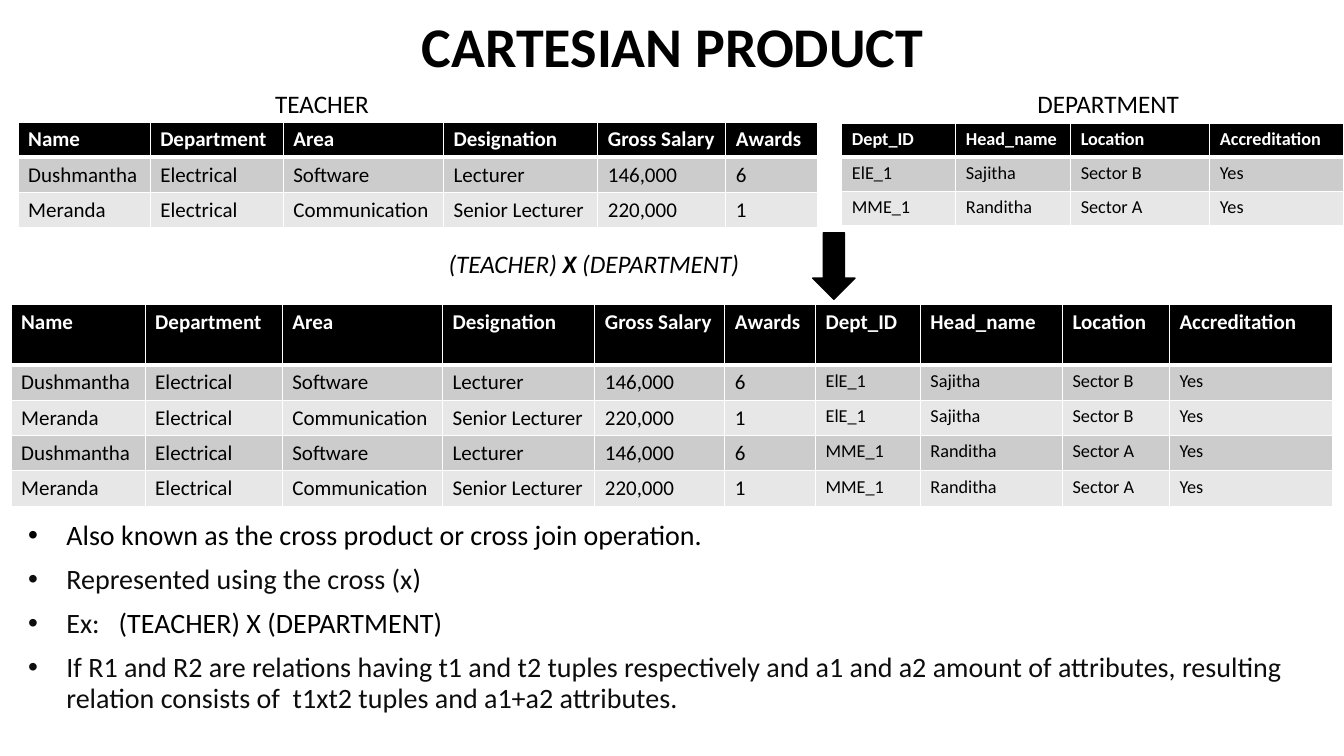
from itertools import product

from lxml import etree
from pptx import Presentation
from pptx.dml.color import RGBColor
from pptx.enum import shapes, text
from pptx.oxml import ns
from pptx.util import Inches, Pt

BLACK, SOFT_BLACK, WHITE = "000000", "0D0D0D", "FFFFFF"
BANDS = ("CCCCCC", "E7E7E7")
TEACHER_HEAD = ("Name", "Department", "Area", "Designation", "Gross Salary", "Awards")
TEACHERS = [
    ("Dushmantha", "Electrical", "Software", "Lecturer", "146,000", "6"),
    ("Meranda", "Electrical", "Communication", "Senior Lecturer", "220,000", "1"),
]
DEPARTMENT_HEAD = ("Dept_ID", "Head_name", "Location", "Accreditation")
DEPARTMENTS = [
    ("ElE_1", "Sajitha", "Sector B", "Yes"),
    ("MME_1", "Randitha", "Sector A", "Yes"),
]


def color(hex_code):
    return RGBColor.from_string(hex_code)


def write(paragraph, words, size=18, hex_code=BLACK, bold=False, italic=False, spacing=0):
    run = paragraph.add_run()
    run.text = words
    font = run.font
    font.name, font.size, font.bold, font.italic = "Calibri", Pt(size), bold, italic
    font.color.rgb = color(hex_code)
    if spacing:  # extra points after each letter
        run._r.get_or_add_rPr().set("spc", str(spacing * 100))


def text_frame(slide, left, top, width, height, wrap=True):
    box = slide.shapes.add_textbox(Inches(left), Inches(top), Inches(width), Inches(height))
    box.text_frame.word_wrap = wrap
    return box.text_frame


def add_title(slide, left, top, width, height):
    frame = text_frame(slide, left, top, width, height)
    frame.vertical_anchor = text.MSO_ANCHOR.BOTTOM
    title = frame.paragraphs[0]
    title.alignment, title.line_spacing = text.PP_ALIGN.CENTER, 0.9
    write(title, "CARTESIAN PRODUCT", size=40, bold=True)


def add_borders(cell, top, bottom):
    properties = cell._tc.get_or_add_tcPr()
    for side, points in (("L", 1), ("R", 1), ("T", top), ("B", bottom)):
        line = etree.SubElement(properties, ns.qn(f"a:ln{side}"), w=str(Pt(points)))
        fill = etree.SubElement(line, ns.qn("a:solidFill"))
        etree.SubElement(fill, ns.qn("a:srgbClr"), val=WHITE)


def add_relation(slide, left, top, widths, heights, rows, head_size, sizes):
    """Table with a black header row and banded tuples; sizes holds one size per column."""
    frame = slide.shapes.add_table(len(rows), len(widths), Inches(left), Inches(top),
                                   Inches(sum(widths)), Inches(sum(heights)))
    relation = frame.table
    for column, width in zip(relation.columns, widths):
        column.width = Inches(width)
    for row, height in zip(relation.rows, heights):
        row.height = Inches(height)
    for r, values in enumerate(rows):
        head = r == 0
        for c, value in enumerate(values):
            cell = relation.cell(r, c)
            add_borders(cell, top=3 if r == 1 else 1, bottom=3 if head else 1)
            cell.fill.solid()
            cell.fill.fore_color.rgb = color(BLACK if head else BANDS[(r - 1) % 2])
            write(cell.text_frame.paragraphs[0], value, bold=head,
                  size=head_size if head else sizes[c], hex_code=WHITE if head else BLACK)


def add_operands(slide, left, top):
    """Both source relations with their names above them."""
    for offset, width, name in ((2.45, 1.36, "TEACHER"), (10.01, 1.62, "DEPARTMENT")):
        label = text_frame(slide, left + offset, top, width, 0.4)
        write(label.paragraphs[0], name)
    add_relation(slide, left, top + 0.38, (1.31, 1.32, 1.59, 1.53, 1.27, 0.91), [0.35] * 3,
                 [TEACHER_HEAD, *TEACHERS], 15, [15] * 6)
    add_relation(slide, left + 8.17, top + 0.39, (1.13, 1.14, 1.38, 1.33), [0.34] * 3,
                 [DEPARTMENT_HEAD, *DEPARTMENTS], 13, [13] * 4)


def add_operation(slide, left, top):
    """Expression and the arrow that leads to the result."""
    expression = text_frame(slide, left, top + 0.1, 3.11, 0.4, wrap=False).paragraphs[0]
    write(expression, "(TEACHER) ", italic=True)
    write(expression, "X ", italic=True, bold=True)
    write(expression, "(DEPARTMENT)", italic=True)
    arrow = slide.shapes.add_shape(shapes.MSO_SHAPE.DOWN_ARROW, Inches(left + 3.71),
                                   Inches(top), Inches(0.42), Inches(0.66))
    arrow.shadow.inherit = False
    arrow.fill.solid()
    arrow.fill.fore_color.rgb = arrow.line.color.rgb = color(BLACK)
    arrow.line.width = Pt(1)


def add_result(slide, left, top):
    tuples = [teacher + department for department, teacher in product(DEPARTMENTS, TEACHERS)]
    widths = (1.33, 1.36, 1.59, 1.51, 1.29, 0.9, 1.04, 1.41, 1.06, 1.62)
    add_relation(slide, left, top, widths, [0.6] + [0.35] * 4,
                 [TEACHER_HEAD + DEPARTMENT_HEAD, *tuples], 15, [15] * 6 + [13] * 4)


def add_notes_list(slide, left, top, width, height):
    """Bulleted facts, each a list of (words, colour, letter spacing)."""
    facts = [
        [("Also known as the cross product or cross join operation.", BLACK, 0)],
        [("Represented using the cross (x", SOFT_BLACK, 0), (")", BLACK, 0)],
        [("Ex:", SOFT_BLACK, 0), (" ", SOFT_BLACK, 9), ("(TEACHER) X (DEPARTMENT)", BLACK, 0)],
        [("If R1 and R2 are relations having t1 and t2 tuples respectively and a1 and a2 "
          "amount of attributes, resulting relation consists of  t1xt2 tuples and a1+a2 "
          "attributes.", SOFT_BLACK, 0)],
    ]
    frame = text_frame(slide, left, top, width, height)
    for i, fact in enumerate(facts):
        paragraph = frame.add_paragraph() if i else frame.paragraphs[0]
        paragraph.line_spacing, paragraph.space_before = 0.9, Pt(10)
        properties = paragraph._p.get_or_add_pPr()
        properties.set("marL", str(Inches(0.38)))
        properties.set("indent", str(Inches(-0.38)))
        etree.SubElement(properties, ns.qn("a:buFont"), typeface="Arial")
        etree.SubElement(properties, ns.qn("a:buChar"), char="•")
        for words, hex_code, spacing in fact:
            write(paragraph, words, size=20, hex_code=hex_code, spacing=spacing)


def main():
    deck = Presentation()
    deck.slide_width, deck.slide_height = Inches(13.33), Inches(7.5)
    slide = deck.slides.add_slide(deck.slide_layouts[6])
    add_title(slide, 1.17, 0.11, 11, 0.73)
    add_operands(slide, 0.18, 0.83)
    add_operation(slide, 4.35, 2.31)
    add_result(slide, 0.11, 3.02)
    add_notes_list(slide, 0.18, 5.12, 13.15, 2.3)
    deck.save("out.pptx")


if __name__ == "__main__":
    main()
